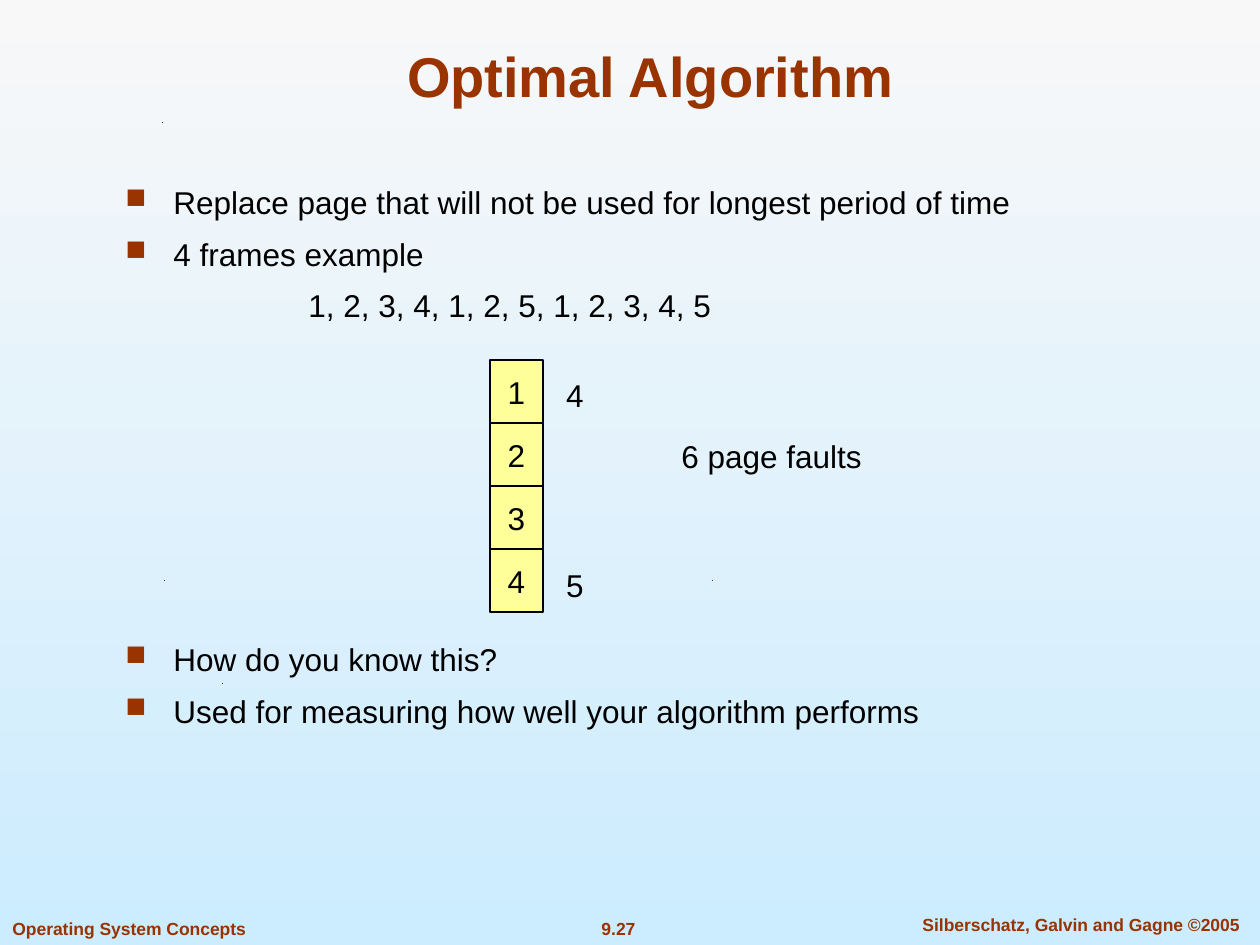
from dataclasses import dataclass

from lxml import etree
from pptx import Presentation
from pptx.dml.color import RGBColor
from pptx.enum.shapes import MSO_SHAPE
from pptx.enum.text import MSO_ANCHOR, PP_ALIGN
from pptx.oxml.ns import qn
from pptx.util import Emu, Pt

SCALE = 914400 / 126
RECTANGLE = MSO_SHAPE.RECTANGLE
LEFT, CENTER = PP_ALIGN.LEFT, PP_ALIGN.CENTER
TOP, MIDDLE, BOTTOM = MSO_ANCHOR.TOP, MSO_ANCHOR.MIDDLE, MSO_ANCHOR.BOTTOM
RUST, BLACK, YELLOW = "993300", "000000", "FFFF99"
SKY_TOP, SKY_BOTTOM = "F8F8F8", "CCECFF"
HANGING = 48

TITLE = {"size": Pt(32), "bold": True, "name": "Arial"}
BODY = {"size": Pt(18), "bold": False, "name": "Arial"}
FOOTER = {"size": Pt(10), "bold": True, "name": "Arial"}


@dataclass
class Label:
    text: str
    left: int
    top: int
    width: int
    height: int
    style: dict
    color: str
    align: PP_ALIGN = CENTER
    anchor: MSO_ANCHOR = MIDDLE


@dataclass
class Point:
    text: str
    before: float = 7.9
    indent: int = HANGING
    bullet: bool = True


LABELS = [
    Label("Optimal Algorithm", 94, 31, 1113, 84, TITLE, RUST, anchor=BOTTOM),
    Label("4", 549, 370, 52, 50, BODY, BLACK),
    Label("6 page faults", 661, 431, 221, 50, BODY, BLACK),
    Label("5", 549, 560, 52, 50, BODY, BLACK),
    Label("Operating System Concepts", 0, 912, 280, 34, FOOTER, RUST, LEFT, TOP),
    Label("9.27", 557, 912, 123, 34, FOOTER, RUST, anchor=TOP),
    Label("Silberschatz, Galvin and Gagne ©2005", 894, 908, 374, 34, FOOTER, RUST,
          anchor=TOP),
]

POINTS = [
    Point("Replace page that will not be used for longest period of time"),
    Point("4 frames example"),
    Point("1, 2, 3, 4, 1, 2, 5, 1, 2, 3, 4, 5", indent=183, bullet=False),
    Point("How do you know this?", before=180.5),
    Point("Used for measuring how well your algorithm performs"),
]

FRAMES = ["1", "2", "3", "4"]
FRAME_LEFT, FRAME_TOP, FRAME_WIDTH, FRAME_HEIGHT = 490, 360, 53, 63
SPECKS = [(162, 122), (164, 580), (712, 580), (222, 683)]


def px(length: int) -> Emu:
    return Emu(round(length * SCALE))


def paint(color: str) -> RGBColor:
    return RGBColor.from_string(color)


def write(para, text: str, style: dict, color: str) -> None:
    span = para.add_run()
    span.text = text
    for name, value in style.items():
        setattr(span.font, name, value)
    span.font.color.rgb = paint(color)


def add_label(page, label: Label) -> None:
    box = page.shapes.add_textbox(
        px(label.left), px(label.top), px(label.width), px(label.height))
    frame = box.text_frame
    frame.word_wrap = True
    frame.vertical_anchor = label.anchor
    para = frame.paragraphs[0]
    para.alignment = label.align
    write(para, label.text, label.style, label.color)


def add_bullet(properties) -> None:
    tint = etree.SubElement(properties, qn("a:buClr"))
    etree.SubElement(tint, qn("a:srgbClr"), val=RUST)
    etree.SubElement(properties, qn("a:buSzPct"), val="90000")
    etree.SubElement(properties, qn("a:buChar"), char="■")


def add_points(page, points: list[Point]) -> None:
    box = page.shapes.add_textbox(px(113), px(177), px(1013), px(617))
    frame = box.text_frame
    frame.word_wrap = True
    for index, point in enumerate(points):
        para = frame.add_paragraph() if index else frame.paragraphs[0]
        para.space_before = Pt(point.before)
        properties = para._p.get_or_add_pPr()
        properties.set("marL", str(px(point.indent)))
        if point.bullet:
            properties.set("indent", str(px(-HANGING)))
            add_bullet(properties)
        write(para, point.text, BODY, BLACK)


def add_frame(page, row: int, text: str) -> None:
    box = page.shapes.add_shape(
        RECTANGLE, px(FRAME_LEFT), px(FRAME_TOP + row * FRAME_HEIGHT),
        px(FRAME_WIDTH), px(FRAME_HEIGHT))
    box.shadow.inherit = False
    box.fill.solid()
    box.fill.fore_color.rgb = paint(YELLOW)
    box.line.color.rgb = paint(BLACK)
    box.line.width = Pt(0.75)
    box.text_frame.word_wrap = False
    box.text_frame.vertical_anchor = MIDDLE
    para = box.text_frame.paragraphs[0]
    para.alignment = CENTER
    write(para, text, BODY, BLACK)


def add_speck(page, left: int, top: int) -> None:
    builder = page.shapes.build_freeform(left, top + 1, scale=SCALE)
    builder.add_line_segments([(left + 1, top), (left + 1, top + 1)], close=True)
    speck = builder.convert_to_shape()
    speck.shadow.inherit = False
    speck.fill.solid()
    speck.fill.fore_color.rgb = paint(BLACK)
    speck.line.fill.background()


def main() -> None:
    deck = Presentation()
    deck.slide_width, deck.slide_height = px(1260), px(945)
    page = deck.slides.add_slide(deck.slide_layouts[6])
    sky = page.background.fill
    sky.gradient()
    sky.gradient_angle = 270
    for stop, color in zip(sky.gradient_stops, (SKY_TOP, SKY_BOTTOM)):
        stop.color.rgb = paint(color)
    for left, top in SPECKS:
        add_speck(page, left, top)
    add_points(page, POINTS)
    for row, text in enumerate(FRAMES):
        add_frame(page, row, text)
    for label in LABELS:
        add_label(page, label)
    deck.save("out.pptx")


if __name__ == "__main__":
    main()
